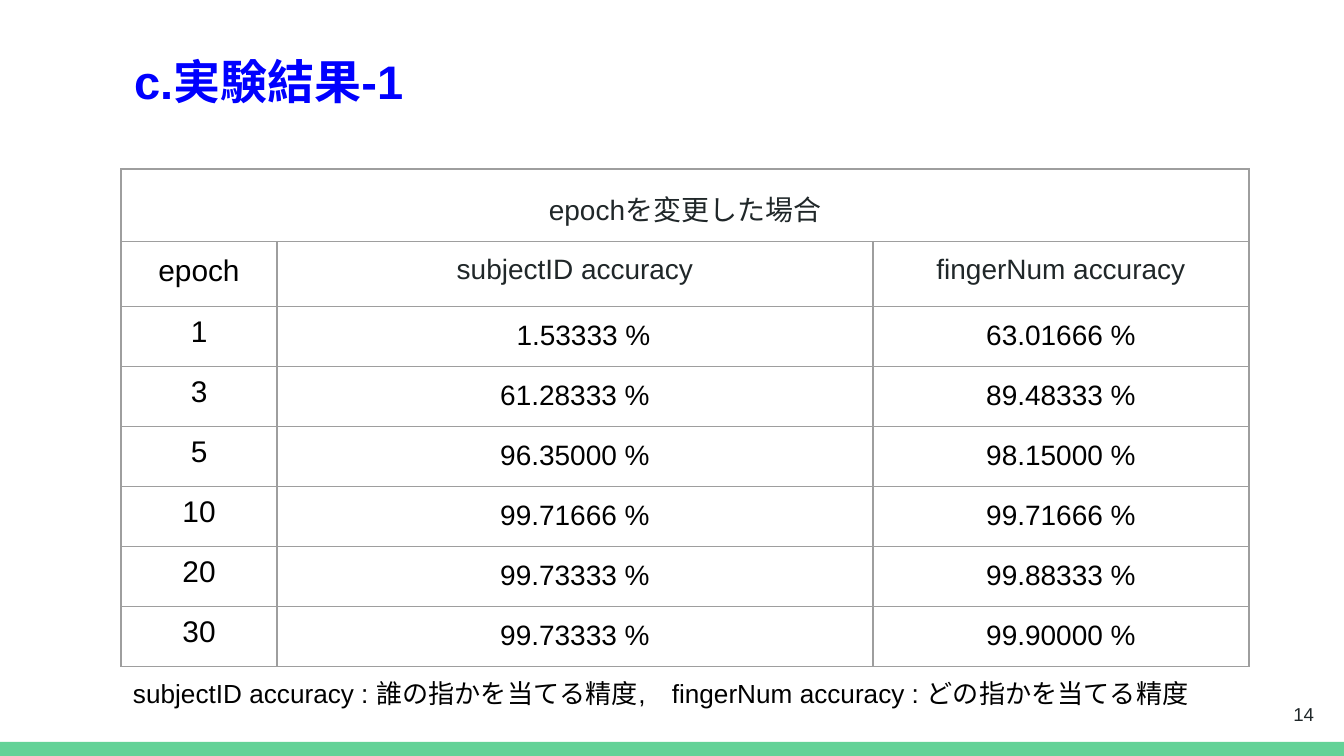
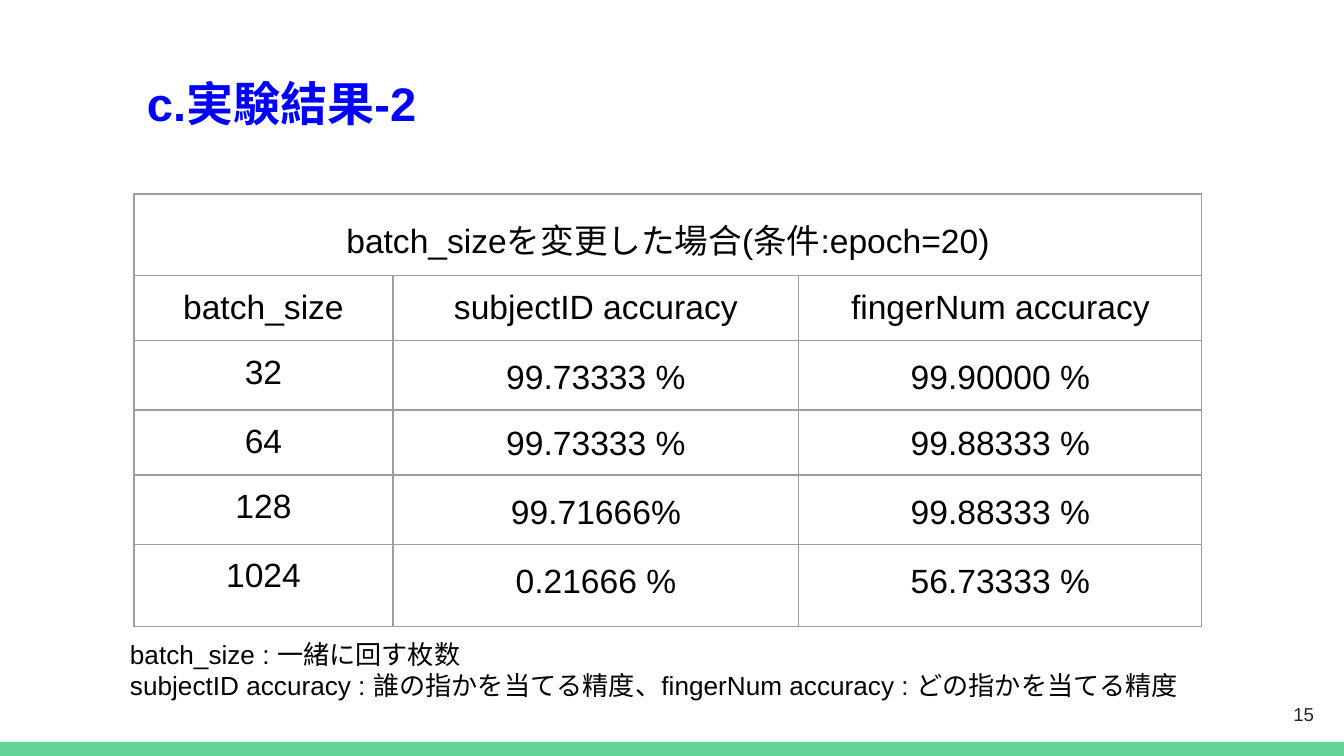
from pptx import Presentation
from pptx.dml.color import RGBColor
from pptx.enum.shapes import MSO_SHAPE
from pptx.enum.text import MSO_ANCHOR, MSO_AUTO_SIZE, PP_ALIGN
from pptx.oxml import parse_xml
from pptx.oxml.ns import nsdecls
from pptx.util import Emu, Pt

FONT = "Arial"
BLACK, DARK, BLUE, GREEN, GRID = "000000", "202729", "0000FF", "63D297", "9E9E9E"
WIDE, NARROW = 13, 9
PAGE_NUMBER_BOX = (1246, 685, 81, 58)

SLIDES = [
    {
        "title": "c.実験結果-1",
        "title_box": (121, 39, 673, 85),
        "caption": "epochを変更した場合",
        "headings": ["epoch", "subjectID accuracy", "fingerNum accuracy"],
        "results": [
            ("1", "1.53333 %", "63.01666 %"),
            ("3", "61.28333 %", "89.48333 %"),
            ("5", "96.35000 %", "98.15000 %"),
            ("10", "99.71666 %", "99.71666 %"),
            ("20", "99.73333 %", "99.88333 %"),
            ("30", "99.73333 %", "99.90000 %"),
        ],
        "table_at": (121, 169),
        "columns": [156, 596, 376],
        "rows": [65, 65] + [60] * 6,
        "key_size": 16,
        "size": 15,
        "heading_color": DARK,
        "narrow_rows": range(2, 8),
        "narrow_from_column": 0,
        "indents": {(2, 1): 17},
        "notes": ["subjectID accuracy : 誰の指かを当てる精度,　fingerNum accuracy : どの指かを当てる精度"],
        "notes_box": (120, 664, 1130, 59),
        "number": "14",
    },
    {
        "title": "c.実験結果-2",
        "title_box": (134, 61, 499, 85),
        "caption": "batch_sizeを変更した場合(条件:epoch=20)",
        "headings": ["batch_size", "subjectID accuracy", "fingerNum accuracy"],
        "results": [
            ("32", "99.73333 %", "99.90000 %"),
            ("64", "99.73333 %", "99.88333 %"),
            ("128", "99.71666%", "99.88333 %"),
            ("1024", "0.21666 %", "56.73333 %"),
        ],
        "table_at": (134, 194),
        "columns": [259, 406, 403],
        "rows": [73, 65, 65, 65, 65, 82],
        "key_size": 18,
        "size": 18,
        "heading_color": BLACK,
        "narrow_rows": [3],
        "narrow_from_column": 1,
        "indents": {},
        "notes": [
            "batch_size : 一緒に回す枚数",
            "subjectID accuracy : 誰の指かを当てる精度、fingerNum accuracy : どの指かを当てる精度",
        ],
        "notes_box": (117, 625, 1130, 90),
        "number": "15",
    },
]


def px(length):
    """Turn pixels into EMU."""
    return Emu(round(length * 914400 / 134.4))


def color(value):
    """Turn a hex string into a colour."""
    return RGBColor.from_string(value)


def style(paragraph, size, ink, alignment=PP_ALIGN.LEFT, bold=False):
    """Set the font and alignment of a paragraph."""
    paragraph.alignment = alignment
    font = paragraph.font
    font.name, font.size, font.bold = FONT, Pt(size), bold
    font.color.rgb = color(ink)


def set_margins(target, margin):
    """Give a cell or text frame four equal margins."""
    target.margin_left = target.margin_right = px(margin)
    target.margin_top = target.margin_bottom = px(margin)


def fill_frame(shape, lines, size, ink, **options):
    """Write one styled paragraph per line into a shape."""
    frame = shape.text_frame
    frame.word_wrap = True
    frame.auto_size = MSO_AUTO_SIZE.NONE
    frame.vertical_anchor = MSO_ANCHOR.TOP
    set_margins(frame, WIDE)
    frame.text = "\n".join(lines)
    for paragraph in frame.paragraphs:
        style(paragraph, size, ink, **options)
    return frame


def add_title(slide, content):
    """Move and fill the title placeholder."""
    title = slide.shapes.title
    title.left, title.top, title.width, title.height = map(px, content["title_box"])
    fill_frame(title, [content["title"]], 25.2, BLUE, bold=True)


def add_text(slide, box, lines, size, ink, **options):
    """Add a wrapped text box."""
    shape = slide.shapes.add_textbox(*map(px, box))
    return fill_frame(shape, lines, size, ink, **options)


def add_borders(cell):
    """Draw a thin line on each side of a cell."""
    properties = cell._tc.get_or_add_tcPr()
    for index, side in enumerate("LRTB"):
        properties.insert(index, parse_xml(
            f'<a:ln{side} {nsdecls("a")} w="{Pt(0.75)}"><a:solidFill>'
            f'<a:srgbClr val="{GRID}"/></a:solidFill></a:ln{side}>'))


def format_cell(cell, row, column, content):
    """Set margins, font, fill and borders according to the cell's place."""
    narrow = row in content["narrow_rows"] and column >= content["narrow_from_column"]
    margin = NARROW if narrow else WIDE
    set_margins(cell, margin)
    cell.margin_left = px(margin + content["indents"].get((row, column), 0))
    is_key = column == 0 and row > 0
    is_heading = row < 2 and not is_key
    paragraph = cell.text_frame.paragraphs[0]
    style(paragraph, content["key_size"] if is_key else content["size"],
          content["heading_color"] if is_heading else BLACK, PP_ALIGN.CENTER)
    if row != 1 and not is_key:
        paragraph.line_spacing = 1.15
    cell.fill.background()
    add_borders(cell)


def add_results(slide, content):
    """Add the accuracy table under its merged caption row."""
    columns, rows = content["columns"], content["rows"]
    frame = slide.shapes.add_table(
        len(rows), len(columns), *map(px, (*content["table_at"], sum(columns), sum(rows))))
    table = frame.table
    table.first_row = table.horz_banding = False
    for column, width in zip(table.columns, columns):
        column.width = px(width)
    for row, height in zip(table.rows, rows):
        row.height = px(height)
    table.cell(0, 0).merge(table.cell(0, len(columns) - 1))
    lines = [(content["caption"], "", ""), content["headings"], *content["results"]]
    for row, line in enumerate(lines):
        for column, text in enumerate(line):
            cell = table.cell(row, column)
            cell.text = text
            format_cell(cell, row, column, content)


def add_master_band(presentation, slide):
    """Place the green bottom band on the slide master."""
    band = slide.shapes.add_shape(MSO_SHAPE.RECTANGLE, *map(px, (0, 742, 1344, 14)))
    band.shadow.inherit = False
    band.fill.solid()
    band.fill.fore_color.rgb = color(GREEN)
    band.line.fill.background()
    presentation.slide_master.element.cSld.spTree.append(band.element)


def main():
    """Build and save the slides."""
    presentation = Presentation()
    presentation.slide_width, presentation.slide_height = px(1344), px(756)
    for index, content in enumerate(SLIDES):
        slide = presentation.slides.add_slide(presentation.slide_layouts[5])
        if index == 0:
            add_master_band(presentation, slide)
        add_title(slide, content)
        add_results(slide, content)
        notes = add_text(slide, content["notes_box"], content["notes"], 14, BLACK)
        notes.auto_size = MSO_AUTO_SIZE.SHAPE_TO_FIT_TEXT
        number = add_text(slide, PAGE_NUMBER_BOX, [content["number"]], 10, DARK,
                          alignment=PP_ALIGN.RIGHT)
        number.vertical_anchor = MSO_ANCHOR.MIDDLE
    presentation.save("out.pptx")


if __name__ == "__main__":
    main()
